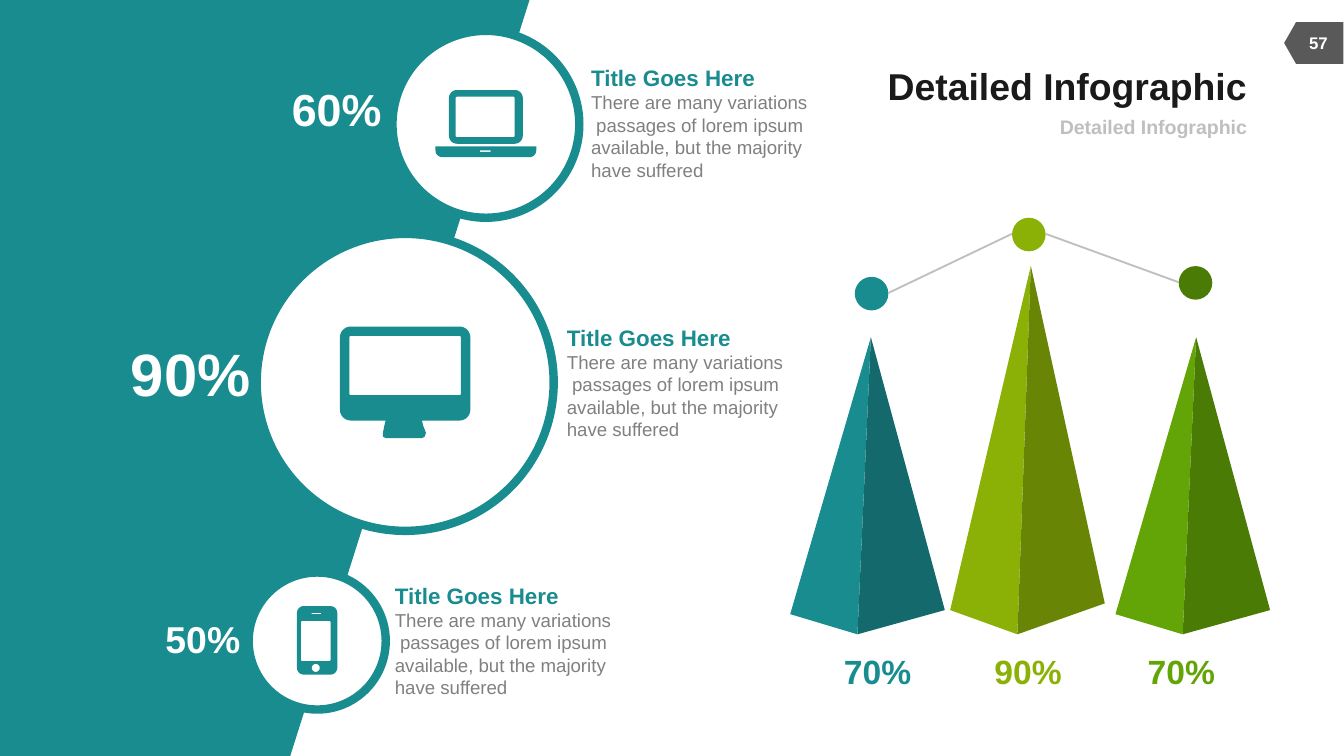
import math
from dataclasses import dataclass

from lxml import etree
from pptx import Presentation
from pptx.dml.color import RGBColor
from pptx.enum import shapes, text
from pptx.oxml.ns import qn
from pptx.util import Inches, Pt


@dataclass(frozen=True)
class Theme:
    font: str = "Arial"
    teal: str = "198C8F"
    teal_dark: str = "13696B"
    lime: str = "8BB106"
    lime_dark: str = "688505"
    green: str = "63A406"
    green_dark: str = "4A7B05"
    ink: str = "1A1A1A"
    body: str = "808080"
    pale: str = "BFBFBF"
    tag: str = "595959"
    white: str = "FFFFFF"
    title_size: float = 20
    subtitle_size: float = 10.5
    page_size: float = 9
    heading_size: float = 12
    body_size: float = 10
    value_size: float = 18
    small_share: float = 20
    medium_share: float = 24
    large_share: float = 32


def outline(parent, color, *contours):
    """Fill closed contours, in inches, as one freeform; inner contours are holes."""
    builder = None
    for contour in contours:
        points = [(Inches(x), Inches(y)) for x, y in contour]
        if builder is None:
            builder = parent.build_freeform(*points[0])
        else:
            builder.move_to(*points[0])
        builder.add_line_segments(points[1:], close=True)
    sp = builder.convert_to_shape()
    sp.shadow.inherit = False
    sp.fill.solid()
    sp.fill.fore_color.rgb = RGBColor.from_string(color)
    sp.line.fill.background()


def rounded(left, top, right, bottom, top_radius, bottom_radius=None):
    """Return the points of a rectangle with rounded corners."""
    low = top_radius if bottom_radius is None else bottom_radius
    corners = [(right - low, bottom - low, low, 0), (left + low, bottom - low, low, 90),
               (left + top_radius, top + top_radius, top_radius, 180),
               (right - top_radius, top + top_radius, top_radius, 270)]
    return [(x + radius * math.cos(math.radians(start + turn)),
             y + radius * math.sin(math.radians(start + turn)))
            for x, y, radius, start in corners for turn in range(0, 91, 15)]


theme = Theme()
slide_width = 10
slide_height = slide_width * 9 / 16
prs = Presentation()
prs.slide_width, prs.slide_height = Inches(slide_width), Inches(slide_height)
s = prs.slides.add_slide(prs.slide_layouts[1])

# Side panel
outline(s.shapes, theme.teal, [(0, 0), (3.94, 0), (2.16, slide_height), (0, slide_height)])

# Page tag, ringed circles and dots: preset, box, rotation, fill, ring
OVAL = shapes.MSO_SHAPE.OVAL
TAG = shapes.MSO_SHAPE.FLOWCHART_OFFPAGE_CONNECTOR
dot = 0.25
for preset, left, top, width, height, turn, fill, ring in [
    (TAG, 9.62, 0.1, 0.31, 0.44, 90, theme.tag, None),
    (OVAL, 1.91, 1.74, 2.21, 2.21, 0, theme.white, theme.teal),
    (OVAL, 2.92, 0.23, 1.39, 1.39, 0, theme.white, theme.teal),
    (OVAL, 1.85, 4.26, 1.02, 1.02, 0, theme.white, theme.teal),
    (OVAL, 6.36, 2.06, dot, dot, 0, theme.teal, None),
    (OVAL, 7.53, 1.62, dot, dot, 0, theme.lime, None),
    (OVAL, 8.77, 1.98, dot, dot, 0, theme.green_dark, None),
]:
    sp = s.shapes.add_shape(preset, Inches(left), Inches(top), Inches(width), Inches(height))
    sp.rotation = turn
    sp.shadow.inherit = False
    sp.fill.solid()
    sp.fill.fore_color.rgb = RGBColor.from_string(fill)
    if ring:
        sp.line.color.rgb = RGBColor.from_string(ring)
        sp.line.width = Pt(4.5)
    else:
        sp.line.fill.background()

# Device icons
monitor = [
    rounded(2.53, 2.43, 3.5, 3.13, 0.08),
    rounded(2.6, 2.5, 3.43, 2.94, 0.01),
    [(2.87, 3.13), (3.14, 3.13), (3.15, 3.17), (3.17, 3.22), (3.16, 3.25), (3.14, 3.26),
     (2.87, 3.26), (2.85, 3.25), (2.85, 3.22), (2.86, 3.17)],
]
laptop = [
    rounded(3.34, 0.67, 3.89, 1.07, 0.06),
    rounded(3.39, 0.72, 3.83, 1.02, 0.01),
    rounded(3.24, 1.09, 3.99, 1.17, 0, 0.05),
    rounded(3.57, 1.12, 3.65, 1.13, 0),
]
phone = [
    rounded(2.21, 4.51, 2.51, 5.02, 0.05),
    rounded(2.24, 4.62, 2.46, 4.92, 0.01),
    rounded(2.32, 4.56, 2.39, 4.57, 0),
    rounded(2.32, 4.94, 2.38, 5, 0.03),
]
for icon in (monitor, laptop, phone):
    outline(s.shapes, theme.teal, *icon)

# Pyramids: left edge, apex, left and right base corners, light and dark face
for x, apex_y, left_y, right_y, light, dark in [
    (5.88, 2.51, 4.57, 4.54, theme.teal, theme.teal_dark),
    (7.07, 1.98, 4.54, 4.49, theme.lime, theme.lime_dark),
    (8.3, 2.51, 4.57, 4.54, theme.green, theme.green_dark),
]:
    pyramid = s.shapes.add_group_shape()
    apex, foot = (x + 0.6, apex_y), (x + 0.5, 4.72)
    outline(pyramid.shapes, light, [apex, foot, (x, left_y)])
    outline(pyramid.shapes, dark, [foot, apex, (x + 1.15, right_y)])

# Lines between the dots
for x1, y1, x2, y2 in [(6.61, 2.18, 7.53, 1.74), (7.78, 1.74, 8.77, 2.1)]:
    line = s.shapes.add_connector(shapes.MSO_CONNECTOR.STRAIGHT,
                                  Inches(x1), Inches(y1), Inches(x2), Inches(y2))
    line.line.color.rgb = RGBColor.from_string(theme.pale)
    line.line.width = Pt(1)
    etree.SubElement(line._element.spPr, qn("a:effectLst"))

# Text: holder, box, alignment, anchor, margins, wrap, paragraphs
LEFT, CENTER, RIGHT = text.PP_ALIGN.LEFT, text.PP_ALIGN.CENTER, text.PP_ALIGN.RIGHT
TOP, MIDDLE, BOTTOM = text.MSO_ANCHOR.TOP, text.MSO_ANCHOR.MIDDLE, text.MSO_ANCHOR.BOTTOM
inset, flush = (0.1, 0.05), (0, 0)
title, subtitle = s.shapes.title, s.placeholders[1]
heading = "Detailed Infographic"
texts = [
    (title, (3.11, 0.44, 6.17, 0.39), RIGHT, MIDDLE, flush, False,
     [(heading, theme.title_size, theme.ink, True)]),
    (subtitle, (4.78, 0.83, 4.5, 0.22), RIGHT, MIDDLE, flush, True,
     [(heading, theme.subtitle_size, theme.pale, True)]),
    (None, (9.6, 0.17, 0.42, 0.3), CENTER, MIDDLE, inset, True,
     [("57", theme.page_size, theme.white, True)]),
]
for value, size, box in [("60%", theme.medium_share, (2.17, 0.61, 0.67, 0.4)),
                         ("90%", theme.large_share, (0.97, 2.5, 0.9, 0.54)),
                         ("50%", theme.small_share, (1.23, 4.58, 0.56, 0.34))]:
    texts.append((None, box, CENTER, MIDDLE, flush, False, [(value, size, theme.white, True)]))
for x, y in [(4.3, 0.43), (4.12, 2.36), (2.84, 4.28)]:
    texts.append((None, (x, y, 1.83, 0.98), LEFT, TOP, inset, True, [
        ("Title Goes Here", theme.heading_size, theme.teal, True),
        ("There are many variations  passages of lorem ipsum available, "
         "but the majority have suffered", theme.body_size, theme.body, False)]))
for value, x, color in [("70%", 6.28, theme.teal), ("90%", 7.4, theme.lime),
                        ("70%", 8.54, theme.green)]:
    texts.append((None, (x, 4.84, 0.5, 0.3), CENTER, BOTTOM, flush, False,
                  [(value, theme.value_size, color, True)]))

for holder, box, align, anchor, (side, edge), wrap, paragraphs in texts:
    left, top, width, height = (Inches(length) for length in box)
    sp = holder or s.shapes.add_textbox(left, top, width, height)
    sp.left, sp.top, sp.width, sp.height = left, top, width, height
    tf = sp.text_frame
    tf.auto_size = text.MSO_AUTO_SIZE.NONE
    tf.word_wrap = wrap
    tf.vertical_anchor = anchor
    tf.margin_left = tf.margin_right = Inches(side)
    tf.margin_top = tf.margin_bottom = Inches(edge)
    for i, (words, size, color, bold) in enumerate(paragraphs):
        p = tf.add_paragraph() if i else tf.paragraphs[0]
        p.alignment = align
        r = p.add_run()
        r.text = words
        r.font.name, r.font.size, r.font.bold = theme.font, Pt(size), bold
        r.font.color.rgb = RGBColor.from_string(color)

# The subtitle carries no bullet
pPr = subtitle.text_frame.paragraphs[0]._p.get_or_add_pPr()
pPr.set("marL", "0")
pPr.set("indent", "0")
etree.SubElement(pPr, qn("a:buNone"))

prs.save("out.pptx")
